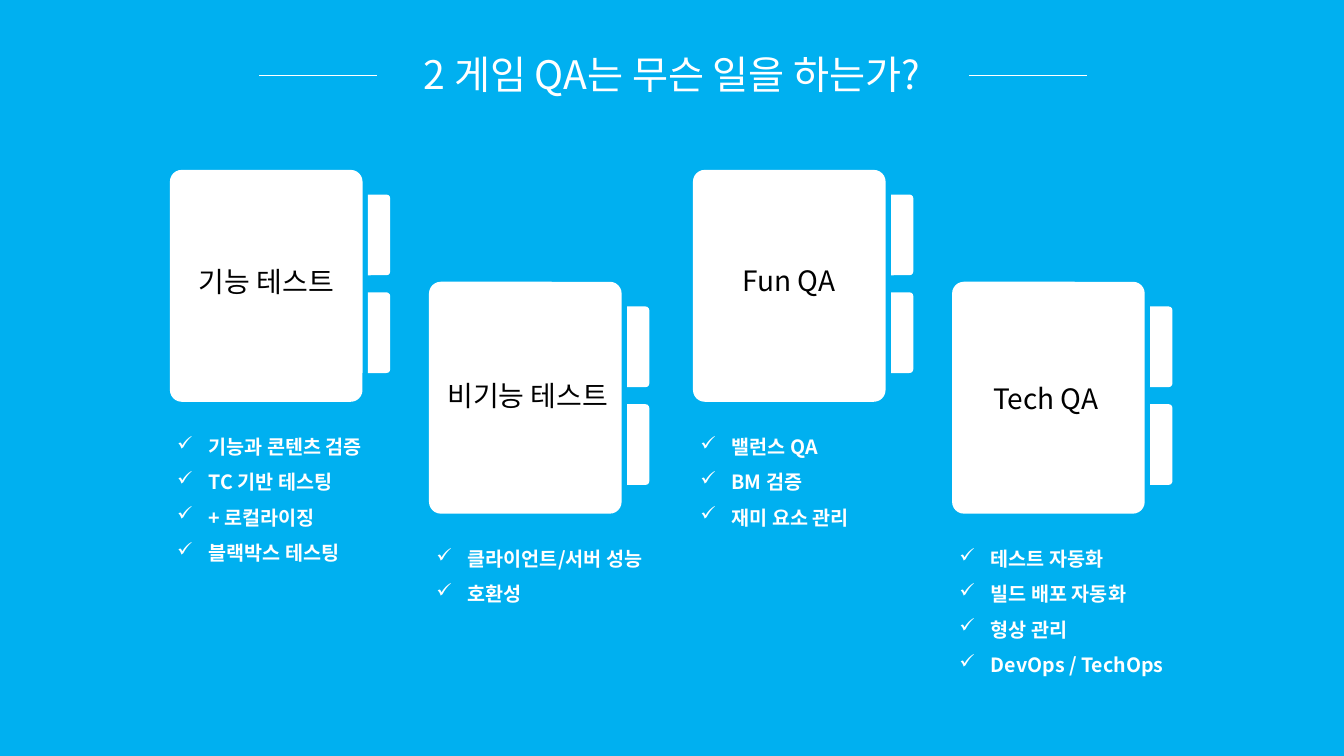
from dataclasses import dataclass

from lxml import etree
from pptx import Presentation
from pptx.dml.color import RGBColor
from pptx.enum.shapes import MSO_CONNECTOR, MSO_SHAPE
from pptx.enum.text import MSO_ANCHOR, MSO_AUTO_SIZE, PP_ALIGN
from pptx.oxml.ns import qn
from pptx.util import Inches, Pt

STRAIGHT = MSO_CONNECTOR.STRAIGHT
ROUNDED = MSO_SHAPE.ROUNDED_RECTANGLE
TAB = MSO_SHAPE.ROUND_2_SAME_RECTANGLE
TOP = MSO_ANCHOR.TOP
FIT_SHAPE = MSO_AUTO_SIZE.SHAPE_TO_FIT_TEXT
CENTER = PP_ALIGN.CENTER
LEFT = PP_ALIGN.LEFT

SLIDE_WIDTH = Inches(13.33)
SLIDE_HEIGHT = Inches(7.5)
COLUMN = SLIDE_WIDTH / 100
ROW = SLIDE_HEIGHT / 100
FONT = "Noto Sans CJK KR"
WHITE = "FFFFFF"
BLACK = "000000"
SKY = "00B0F0"

CARD_WIDTH = 14.33
CARD_HEIGHT = 30.67
CARD_LEFT = 12.64
CARD_TOP = 22.47
STAGGER_COLUMNS = 19.28
STAGGER_ROWS = 14.8
PAIR_STEP = 38.92
TAB_TOPS = (3.27, 16.2)
RULE_LEFTS = (19.28, 72.09)
RULE_LENGTH = 8.78
RULE_TOP = 10


@dataclass(frozen=True)
class Box:
    left: float
    top: float
    width: float
    height: float

    def emu(self) -> tuple[int, int, int, int]:
        return (round(self.left * COLUMN), round(self.top * ROW),
                round(self.width * COLUMN), round(self.height * ROW))


@dataclass(frozen=True)
class Card:
    label: str
    label_shift: tuple[float, float]
    tasks: tuple[str, ...]


CARDS = (
    Card("기능 테스트", (0.04, 11.93),
         ("기능과 콘텐츠 검증", "TC 기반 테스팅", "+ 로컬라이징", "블랙박스 테스팅")),
    Card("비기능 테스트", (0.19, 12.2), ("클라이언트/서버 성능", "호환성")),
    Card("Fun QA", (-0.04, 11.67), ("밸런스 QA", "BM 검증", "재미 요소 관리")),
    Card("Tech QA", (-0.19, 12.6),
         ("테스트 자동화", "빌드 배포 자동화", "형상 관리", "DevOps / TechOps")),
)


def color(value: str) -> RGBColor:
    return RGBColor.from_string(value)


def place(shape, box: Box) -> None:
    shape.left, shape.top, shape.width, shape.height = box.emu()


def format_run(run, size: int, hex_color: str, bold: bool = False) -> None:
    run.font.size = Pt(size)
    run.font.bold = bold
    run.font.color.rgb = color(hex_color)
    run.font.name = FONT
    latin = run.font._element.find(qn("a:latin"))
    east_asian = etree.Element(qn("a:ea"), typeface=FONT)
    latin.addnext(east_asian)


def write(shape, lines: tuple[str, ...], size: int, hex_color: str,
          alignment=CENTER, bold: bool = False) -> None:
    frame = shape.text_frame
    frame.text = "\n".join(lines)
    frame.word_wrap = True
    frame.auto_size = FIT_SHAPE
    frame.vertical_anchor = TOP
    for paragraph in frame.paragraphs:
        paragraph.alignment = alignment
        for run in paragraph.runs:
            format_run(run, size, hex_color, bold)


def add_checks(shape) -> None:
    for paragraph in shape.text_frame.paragraphs:
        properties = paragraph._p.get_or_add_pPr()
        properties.set("marL", str(Inches(0.31)))
        properties.set("indent", str(-Inches(0.31)))
        etree.SubElement(properties, qn("a:buChar"), char="✓")
        paragraph.line_spacing = 1.5


def add_text_shadow(run) -> None:
    effects = etree.Element(qn("a:effectLst"))
    shadow = etree.SubElement(effects, qn("a:outerShdw"), blurRad="50800",
                              dist="38100", dir="2700000", algn="tl", rotWithShape="0")
    tint = etree.SubElement(shadow, qn("a:srgbClr"), val=BLACK)
    etree.SubElement(tint, qn("a:alpha"), val="40000")
    run.font._element.find(qn("a:latin")).addprevious(effects)


def add_turned_shape(group, kind, box: Box):
    left, top, width, height = box.emu()
    shift = (height - width) // 2
    shape = group.shapes.add_shape(kind, left - shift, top + shift, height, width)
    shape.rotation = 90
    shape.shadow.inherit = False
    shape.fill.solid()
    shape.fill.fore_color.rgb = color(WHITE)
    shape.line.fill.background()
    return shape


def add_card(slide, card: Card, left: float, top: float) -> None:
    group = slide.shapes.add_group_shape()
    body = add_turned_shape(group, ROUNDED, Box(left, top, CARD_WIDTH, CARD_HEIGHT))
    body.adjustments[0] = 0.061
    for tab_top in TAB_TOPS:
        add_turned_shape(group, TAB, Box(left + 14.74, top + tab_top, 1.65, 10.67))

    shift_columns, shift_rows = card.label_shift
    label_box = Box(left + shift_columns, top + shift_rows, CARD_WIDTH, 5.87)
    label = slide.shapes.add_textbox(*label_box.emu())
    write(label, (card.label,), 20, BLACK)

    task_box = Box(left - 0.19, top + 32.87, 17.25, 0.93 + 4.67 * len(card.tasks))
    task_list = slide.shapes.add_textbox(*task_box.emu())
    write(task_list, card.tasks, 14, WHITE, LEFT, True)
    add_checks(task_list)


def add_rule(slide, left: float) -> None:
    x, y, length, _ = Box(left, RULE_TOP, RULE_LENGTH, 0).emu()
    rule = slide.shapes.add_connector(STRAIGHT, x, y, x + length, y)
    rule.line.color.rgb = color(WHITE)
    rule.line.width = Pt(0.5)
    etree.SubElement(rule._element.spPr, qn("a:effectLst"))


def main() -> None:
    presentation = Presentation()
    presentation.slide_width = SLIDE_WIDTH
    presentation.slide_height = SLIDE_HEIGHT
    slide = presentation.slides.add_slide(presentation.slide_layouts[5])
    slide.background.fill.solid()
    slide.background.fill.fore_color.rgb = color(SKY)

    title = slide.shapes.title
    place(title, Box(0, 6, 100, 7.6))
    write(title, ("2 게임 QA는 무슨 일을 하는가?",), 28, WHITE)
    add_text_shadow(title.text_frame.paragraphs[0].runs[0])
    for left in RULE_LEFTS:
        add_rule(slide, left)

    for index, card in enumerate(CARDS):
        pair, lowered = divmod(index, 2)
        add_card(slide, card,
                 CARD_LEFT + pair * PAIR_STEP + lowered * STAGGER_COLUMNS,
                 CARD_TOP + lowered * STAGGER_ROWS)
    presentation.save("out.pptx")


if __name__ == "__main__":
    main()
